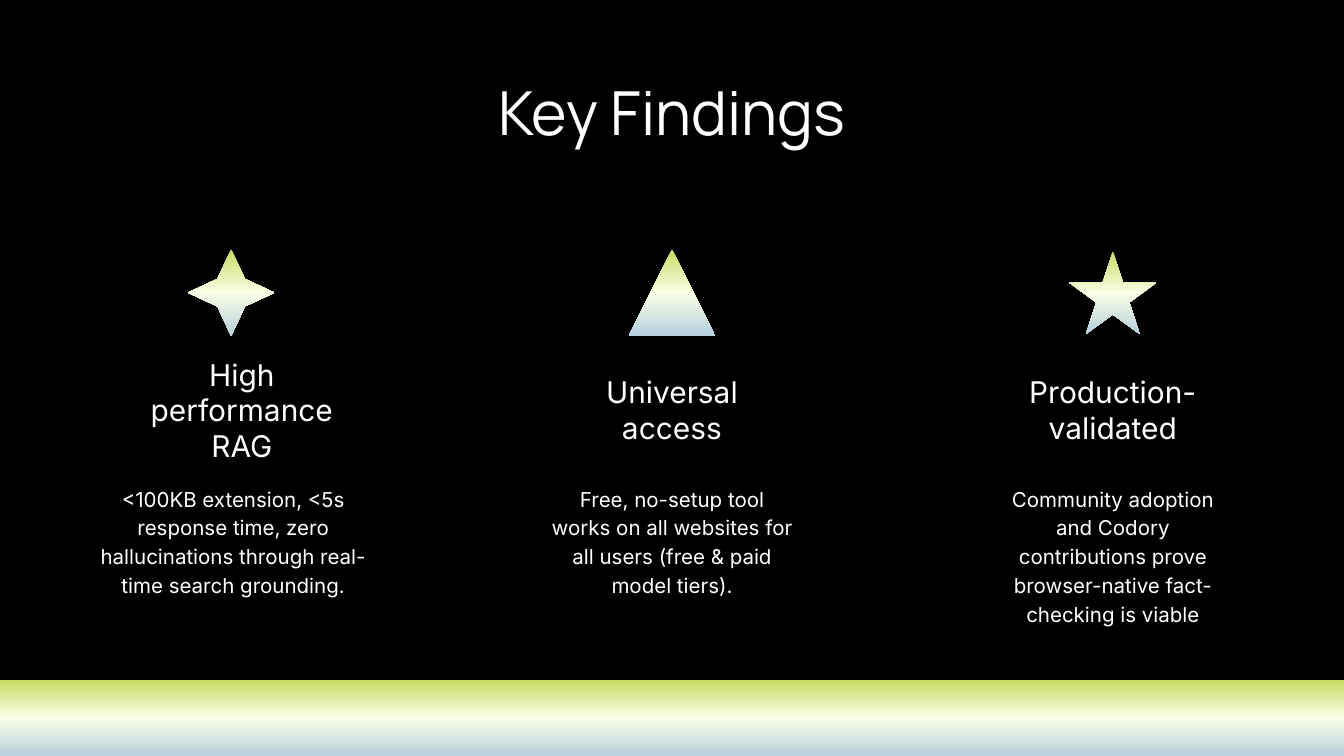
from copy import deepcopy
from dataclasses import dataclass

from pptx import Presentation
from pptx.dml.color import RGBColor
from pptx.enum import shapes, text
from pptx.util import Inches, Pt


@dataclass(frozen=True)
class Theme:
    background: str = "000000"
    ink: str = "FFFFFF"
    gradient: tuple = ((0, "C6DB63"), (0.5, "FBFFE7"), (1, "B7D0DD"))
    title: tuple = ("Manrope", 65, 78)  # font, size, line height
    heading: tuple = ("Inter", 32, 38.4)
    body: tuple = ("Inter", 22, 30.8)


@dataclass(frozen=True)
class Finding:
    icon: shapes.MSO_SHAPE
    icon_height: float
    heading: str
    heading_width: float
    heading_lines: int
    heading_shift: float
    body: str
    body_width: float
    body_shift: float


THEME = Theme()
SLIDE_WIDTH, SLIDE_HEIGHT = 20, 11.25
BAND_HEIGHT = 1.13
COLUMN_PITCH, COLUMN_WIDTH = 6.56, 4.3
COLUMN_TOP, COLUMN_HEIGHT = 3.71, 5.16
ICON_WIDTH = 1.29
STAR_INNER_RADIUS = 0.225

FINDINGS = (
    Finding(shapes.MSO_SHAPE.STAR_4_POINT, 1.29,
            "High performance RAG", 3.61, 3, 0.16,
            "<100KB extension, <5s response time, zero hallucinations "
            "through real-time search grounding.", 4.3, 0.03),
    Finding(shapes.MSO_SHAPE.ISOSCELES_TRIANGLE, 1.29,
            "Universal access", 3.27, 2, 0,
            "Free, no-setup tool works on all websites for all users "
            "(free & paid model tiers).", 3.62, 0),
    Finding(shapes.MSO_SHAPE.STAR_5_POINT, 1.23,
            "Production-validated", 3.27, 2, 0,
            "Community adoption and Codory contributions prove "
            "browser-native fact-checking is viable", 3.62, 0),
)


def place(shape, left, top, width, height):
    shape.left, shape.top = Inches(left), Inches(top)
    shape.width, shape.height = Inches(width), Inches(height)


def write(shape, words, style):
    """Set centred words in a shape without insets."""
    font_name, size, line_height = style
    frame = shape.text_frame
    frame_format = {
        "margin_left": 0, "margin_top": 0, "margin_right": 0, "margin_bottom": 0,
        "word_wrap": True,
        "auto_size": text.MSO_AUTO_SIZE.NONE,
        "vertical_anchor": text.MSO_ANCHOR.TOP,
    }
    for name, value in frame_format.items():
        setattr(frame, name, value)
    paragraph = frame.paragraphs[0]
    paragraph.alignment = text.PP_ALIGN.CENTER
    paragraph.line_spacing = Pt(line_height)
    run = paragraph.add_run()
    run.text = words
    for name, value in {"name": font_name, "size": Pt(size)}.items():
        setattr(run.font, name, value)
    run.font.color.rgb = RGBColor.from_string(THEME.ink)


def add_text(slide, words, style, left, top, width, height):
    box = slide.shapes.add_textbox(
        Inches(left), Inches(top), Inches(width), Inches(height))
    write(box, words, style)


def add_gradient_shape(slide, kind, left, top, width, height):
    shape = slide.shapes.add_shape(
        kind, Inches(left), Inches(top), Inches(width), Inches(height))
    shape.shadow.inherit = False
    shape.line.fill.background()
    shape.fill.gradient()
    shape.fill.gradient_angle = 270
    first_stop = shape.fill._fill._gradFill.gsLst[0]
    first_stop.addnext(deepcopy(first_stop))
    for stop, (position, color) in zip(shape.fill.gradient_stops, THEME.gradient):
        stop.position = position
        stop.color.rgb = RGBColor.from_string(color)
    return shape


def add_title(slide, words, left, top, width, height):
    title = slide.shapes.title
    place(title, left, top, width, height)
    write(title, words, THEME.title)


def add_finding(slide, finding, left, top, width, height):
    """Stack an icon, a heading and a body text in one column."""
    center = left + width / 2
    icon = add_gradient_shape(
        slide, finding.icon, center - ICON_WIDTH / 2,
        top + (ICON_WIDTH - finding.icon_height) / 2,
        ICON_WIDTH, finding.icon_height)
    if finding.icon == shapes.MSO_SHAPE.STAR_4_POINT:
        icon.adjustments[0] = STAR_INNER_RADIUS

    heading_height = finding.heading_lines * THEME.heading[2] / 72
    add_text(slide, finding.heading, THEME.heading,
             center + finding.heading_shift - finding.heading_width / 2,
             top + 2.39 - heading_height / 2,
             finding.heading_width, heading_height)

    body_top = 3.47
    add_text(slide, finding.body, THEME.body,
             center + finding.body_shift - finding.body_width / 2,
             top + body_top, finding.body_width, height - body_top)


def build_findings_slide(presentation):
    slide = presentation.slides.add_slide(presentation.slide_layouts[5])
    slide.background.fill.solid()
    slide.background.fill.fore_color.rgb = RGBColor.from_string(THEME.background)
    add_title(slide, "Key Findings", 6.22, 1.11, 7.56, 1.09)
    for index, finding in enumerate(FINDINGS):
        center = SLIDE_WIDTH / 2 + (index - 1) * COLUMN_PITCH
        add_finding(slide, finding, center - COLUMN_WIDTH / 2,
                    COLUMN_TOP, COLUMN_WIDTH, COLUMN_HEIGHT)
    add_gradient_shape(slide, shapes.MSO_SHAPE.RECTANGLE,
                       0, SLIDE_HEIGHT - BAND_HEIGHT, SLIDE_WIDTH, BAND_HEIGHT)


def main():
    presentation = Presentation()
    presentation.slide_width = Inches(SLIDE_WIDTH)
    presentation.slide_height = Inches(SLIDE_HEIGHT)
    build_findings_slide(presentation)
    presentation.save("out.pptx")


if __name__ == "__main__":
    main()
